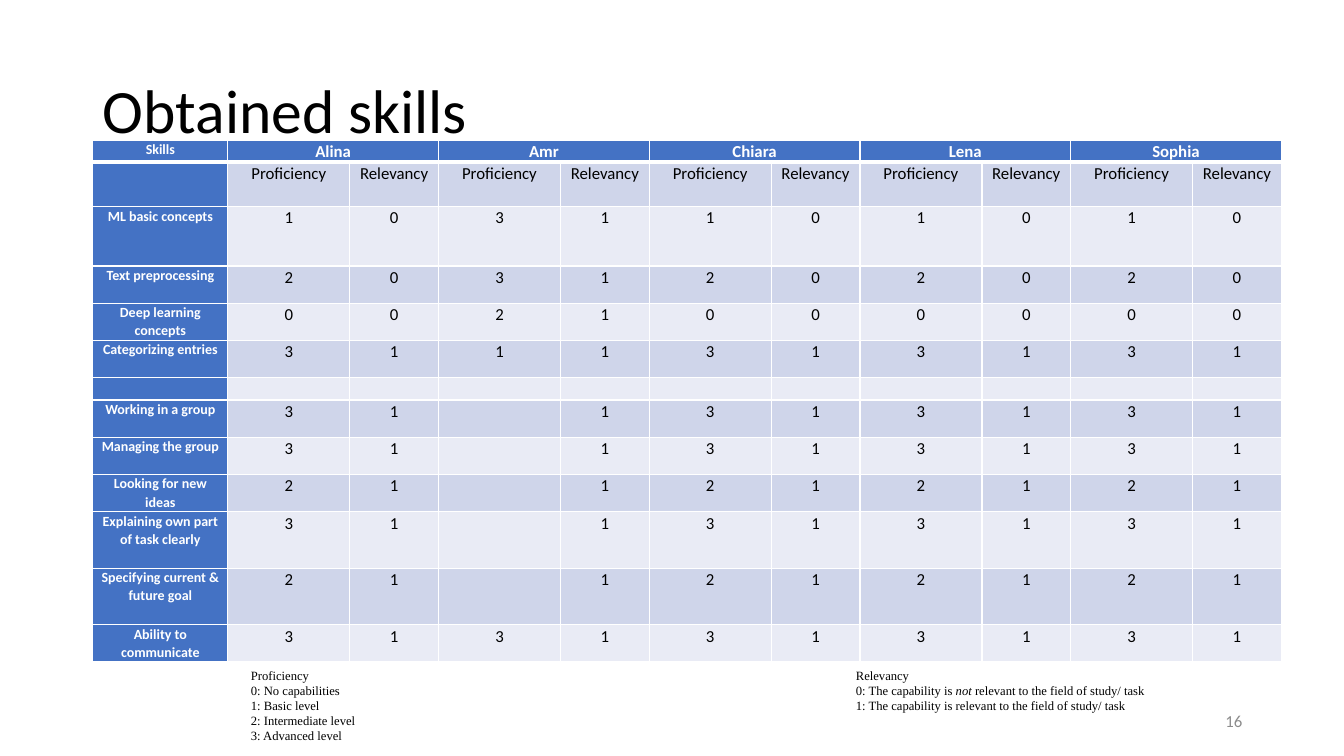
from lxml.etree import SubElement
from pptx import Presentation
from pptx.dml.color import RGBColor
from pptx.enum.text import MSO_ANCHOR, MSO_AUTO_SIZE, PP_ALIGN
from pptx.oxml.ns import qn
from pptx.util import Inches, Pt

theme = {
    "head": "4472C4", "odd": "CFD5EA", "even": "E9EBF5", "line": "FFFFFF",
    "title": {"name": "Calibri", "size": Pt(44), "color": "000000"},
    "skill": {"name": "Calibri", "size": Pt(10), "color": "FFFFFF", "bold": True},
    "person": {"name": "Calibri", "size": Pt(12), "color": "FFFFFF", "bold": True},
    "score": {"name": "Calibri", "size": Pt(12), "color": "000000", "bold": False},
    "key": {"name": "Times New Roman", "size": Pt(9), "color": "000000"},
    "page": {"name": "Calibri", "size": Pt(12), "color": "8C8C8C"},
}


def write(para, text, style, italic=False):
    run = para.add_run()
    run.text = text
    for name, value in theme[style].items():
        if name == "color":
            run.font.color.rgb = RGBColor.from_string(value)
        else:
            setattr(run.font, name, value)
    if italic:
        run.font.italic = True


def edge(cell, side, width):
    line = SubElement(cell._tc.get_or_add_tcPr(), qn(f"a:ln{side}"), w=str(Pt(width)))
    fill = SubElement(line, qn("a:solidFill"))
    SubElement(fill, qn("a:srgbClr"), val=theme["line"])


deck = Presentation()
deck.slide_width, deck.slide_height = Inches(13.33), Inches(7.5)
slide = deck.slides.add_slide(deck.slide_layouts[5])

# Title
title = slide.shapes.title
title.left, title.top = Inches(0.92), Inches(0.4)
title.width, title.height = Inches(11.5), Inches(1.45)
frame = title.text_frame
frame.auto_size = MSO_AUTO_SIZE.NONE
frame.vertical_anchor = MSO_ANCHOR.MIDDLE
para = frame.paragraphs[0]
para.alignment, para.line_spacing = PP_ALIGN.LEFT, 0.9
write(para, "Obtained skills", "title")

# Skills: row height, the group's two scores, Amr's two scores
people = ["Alina", "Amr", "Chiara", "Lena", "Sophia"]
skills = [
    ("ML basic concepts", 0.59, "10", "31"),
    ("Text preprocessing", 0.37, "20", "31"),
    ("Deep learning concepts", 0.37, "00", "21"),
    ("Categorizing entries", 0.37, "31", "11"),
    ("", 0.22, ("", ""), ("", "")),
    ("Working in a group", 0.37, "31", ("", "1")),
    ("Managing the group", 0.37, "31", ("", "1")),
    ("Looking for new ideas", 0.37, "21", ("", "1")),
    ("Explaining own part of task clearly", 0.56, "31", ("", "1")),
    ("Specifying current & future goal", 0.56, "21", ("", "1")),
    ("Ability to communicate", 0.37, "31", "31"),
]
rows = [["Skills"], [""] + ["Proficiency", "Relevancy"] * len(people)]
for person in people:
    rows[0] += [person, ""]
for skill, _, group, amr in skills:
    row = [skill]
    for person in people:
        row += amr if person == "Amr" else group
    rows.append(row)
tall = [0.22, 0.44] + [skill[1] for skill in skills]
wide = [1.34] + [1.21, 0.88] * len(people)

# Table
table = slide.shapes.add_table(len(rows), len(wide), Inches(0.92), Inches(1.39),
                               Inches(11.8), Inches(5.18)).table
for col, width in zip(table.columns, wide):
    col.width = Inches(width)
for row, height in zip(table.rows, tall):
    row.height = Inches(height)
for c in range(1, len(wide), 2):
    table.cell(0, c).merge(table.cell(0, c + 1))

box = {"margin_left": Inches(0.07), "margin_right": Inches(0.07),
       "margin_top": 0, "margin_bottom": 0}
for r, row in enumerate(rows):
    for c, text in enumerate(row):
        cell = table.cell(r, c)
        for name, value in box.items():
            setattr(cell, name, value)
        for side in "LRTB":
            thick = (r, side) in [(0, "B"), (1, "T")]
            edge(cell, side, 3 if thick else 1)
        tone = "head" if r == 0 or c == 0 else "odd" if r % 2 else "even"
        cell.fill.solid()
        cell.fill.fore_color.rgb = RGBColor.from_string(theme[tone])
        para = cell.text_frame.paragraphs[0]
        para.alignment, para.line_spacing = PP_ALIGN.CENTER, 1.07
        if text:
            write(para, text, "skill" if c == 0 else "person" if r == 0 else "score")
        else:
            SubElement(para._p, qn("a:endParaRPr"), sz="1000")

# Key to the scores, in two columns set by a tab stop
key = [
    ("Proficiency", ["Relevancy"]),
    ("0: No capabilities",
     ["0: The capability is ", "not", " relevant to the field of study/ task"]),
    ("1: Basic level", ["1: The capability is relevant to the field of study/ task"]),
    ("2: Intermediate level", []),
    ("3: Advanced level", []),
]
frame = slide.shapes.add_textbox(Inches(2.39), Inches(6.57),
                                 Inches(9.15), Inches(0.86)).text_frame
frame.word_wrap = True
frame.vertical_anchor = MSO_ANCHOR.MIDDLE
for i, (left, right) in enumerate(key):
    para = frame.add_paragraph() if i else frame.paragraphs[0]
    tabs = SubElement(para._p.get_or_add_pPr(), qn("a:tabLst"))
    SubElement(tabs, qn("a:tab"), pos=str(Inches(6)), algn="l")
    write(para, left + ("\t" if right else ""), "key")
    for part in right:
        write(para, part, "key", part == "not")

# Page number
frame = slide.shapes.add_textbox(Inches(9.42), Inches(6.95),
                                 Inches(3), Inches(0.4)).text_frame
frame.word_wrap = True
frame.vertical_anchor = MSO_ANCHOR.MIDDLE
frame.paragraphs[0].alignment = PP_ALIGN.RIGHT
write(frame.paragraphs[0], "16", "page")

deck.save("out.pptx")
